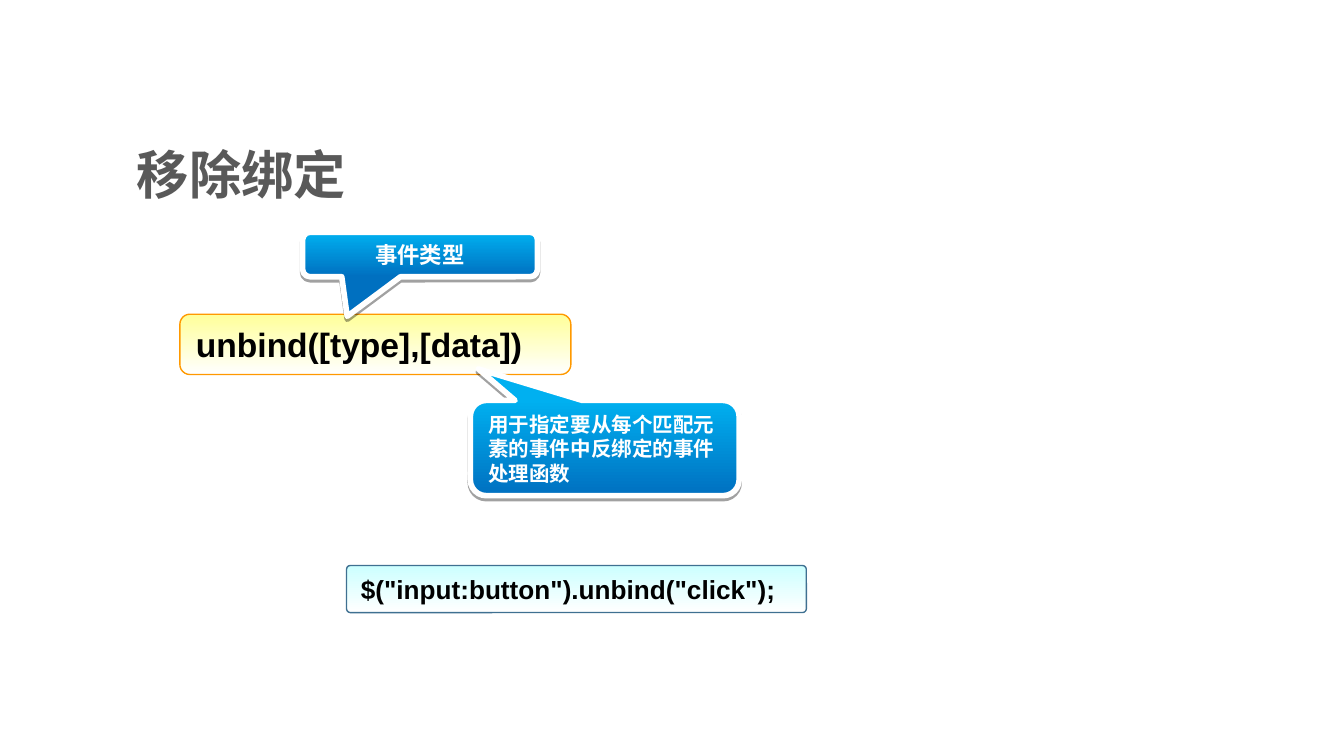
import pptx
import pptx.dml.color
import pptx.enum.shapes
import pptx.enum.text
import pptx.oxml
import pptx.oxml.ns
import pptx.oxml.xmlchemy
import pptx.util

RGBColor = pptx.dml.color.RGBColor
Cm = pptx.util.Cm
Pt = pptx.util.Pt
MSO_SHAPE = pptx.enum.shapes.MSO_SHAPE
MSO_ANCHOR = pptx.enum.text.MSO_ANCHOR
MSO_AUTO_SIZE = pptx.enum.text.MSO_AUTO_SIZE
PP_ALIGN = pptx.enum.text.PP_ALIGN

GREY = RGBColor(0x59, 0x59, 0x59)
BLACK = RGBColor(0x00, 0x00, 0x00)
WHITE = RGBColor(0xFF, 0xFF, 0xFF)
YELLOW = RGBColor(0xFF, 0xFF, 0x99)
ORANGE = RGBColor(0xFF, 0x99, 0x00)
SKY = RGBColor(0x00, 0xB0, 0xF0)
BLUE = RGBColor(0x00, 0x70, 0xC0)
CYAN = RGBColor(0xCC, 0xFF, 0xFF)
STEEL = RGBColor(0x3F, 0x70, 0x91)

LATIN_FONT = "Arial"
CHINESE_FONT = "Noto Sans CJK SC"


def write_text(shape, text, size, color, font=LATIN_FONT,
               anchor=MSO_ANCHOR.TOP, align=PP_ALIGN.LEFT):
    """Write one bold run into the shape."""
    frame = shape.text_frame
    frame.word_wrap = True
    frame.vertical_anchor = anchor
    paragraph = frame.paragraphs[0]
    paragraph.alignment = align
    run = paragraph.add_run()
    run.text = text
    run.font.name = font
    run.font.size = Pt(size)
    run.font.bold = True
    run.font.color.rgb = color
    east_asian = pptx.oxml.xmlchemy.OxmlElement("a:ea")
    east_asian.set("typeface", CHINESE_FONT)
    run.font._element.append(east_asian)


def add_gradient_shape(slide, kind, box, adjustments, colors, line_color, line_width):
    """Add an outlined shape with a gradient running from top to bottom."""
    shape = slide.shapes.add_shape(kind, *map(Cm, box))
    for index, value in enumerate(adjustments):
        shape.adjustments[index] = value
    shape.fill.gradient()
    shape.fill.gradient_angle = 270
    for stop, color in zip(shape.fill.gradient_stops, colors):
        stop.color.rgb = color
    shape.line.color.rgb = line_color
    shape.line.width = Pt(line_width)
    shape.shadow.inherit = False
    shape.text_frame.auto_size = MSO_AUTO_SIZE.SHAPE_TO_FIT_TEXT
    return shape


def add_title(slide, box, text):
    """Add the slide heading."""
    title = slide.shapes.add_textbox(*map(Cm, box))
    write_text(title, text, 28, GREY, CHINESE_FONT, MSO_ANCHOR.MIDDLE)


def add_code_box(slide, box, text, size, corner, top_color, line_color, anchor):
    """Add a rounded box holding one line of code."""
    shape = add_gradient_shape(slide, MSO_SHAPE.ROUNDED_RECTANGLE, box, [corner],
                               (top_color, WHITE), line_color, 0.75)
    write_text(shape, text, size, BLACK, anchor=anchor)


def add_callout(slide, box, pointer, text, size, align):
    """Add a blue callout with a hard shadow and a pointer."""
    shape = add_gradient_shape(slide, MSO_SHAPE.ROUNDED_RECTANGULAR_CALLOUT, box,
                               [*pointer, 0.167], (SKY, BLUE), WHITE, 3)
    effects = shape._element.spPr.find(pptx.oxml.ns.qn("a:effectLst"))
    effects.append(pptx.oxml.parse_xml(
        f'<a:outerShdw {pptx.oxml.ns.nsdecls("a")} blurRad="0" dist="{Pt(1.6)}" '
        'dir="5400000" algn="t" rotWithShape="0">'
        '<a:srgbClr val="000000"><a:alpha val="37000"/></a:srgbClr></a:outerShdw>'))
    write_text(shape, text, size, WHITE, align=align)


def main():
    """Build and save the slide about removing event bindings."""
    presentation = pptx.Presentation()
    presentation.slide_width = Cm(25.4)
    presentation.slide_height = Cm(14.29)
    slide = presentation.slides.add_slide(presentation.slide_layouts[6])
    add_title(slide, (2.34, 2.49, 18.21, 1.6), "移除绑定")
    add_code_box(slide, (3.4, 5.94, 7.39, 1.14), "unbind([type],[data])", 18,
                 0.167, YELLOW, ORANGE, MSO_ANCHOR.MIDDLE)
    add_callout(slide, (5.72, 4.39, 4.44, 0.84), (-0.31, 1.39),
                "事件类型", 12, PP_ALIGN.CENTER)
    add_callout(slide, (8.89, 7.57, 5.08, 1.8), (-0.47, -0.83),
                "用于指定要从每个匹配元素的事件中反绑定的事件处理函数", 11, PP_ALIGN.LEFT)
    add_code_box(slide, (6.55, 10.69, 8.69, 0.89), '$("input:button").unbind("click");', 14,
                 0.08, CYAN, STEEL, MSO_ANCHOR.TOP)
    presentation.save("out.pptx")


if __name__ == "__main__":
    main()
